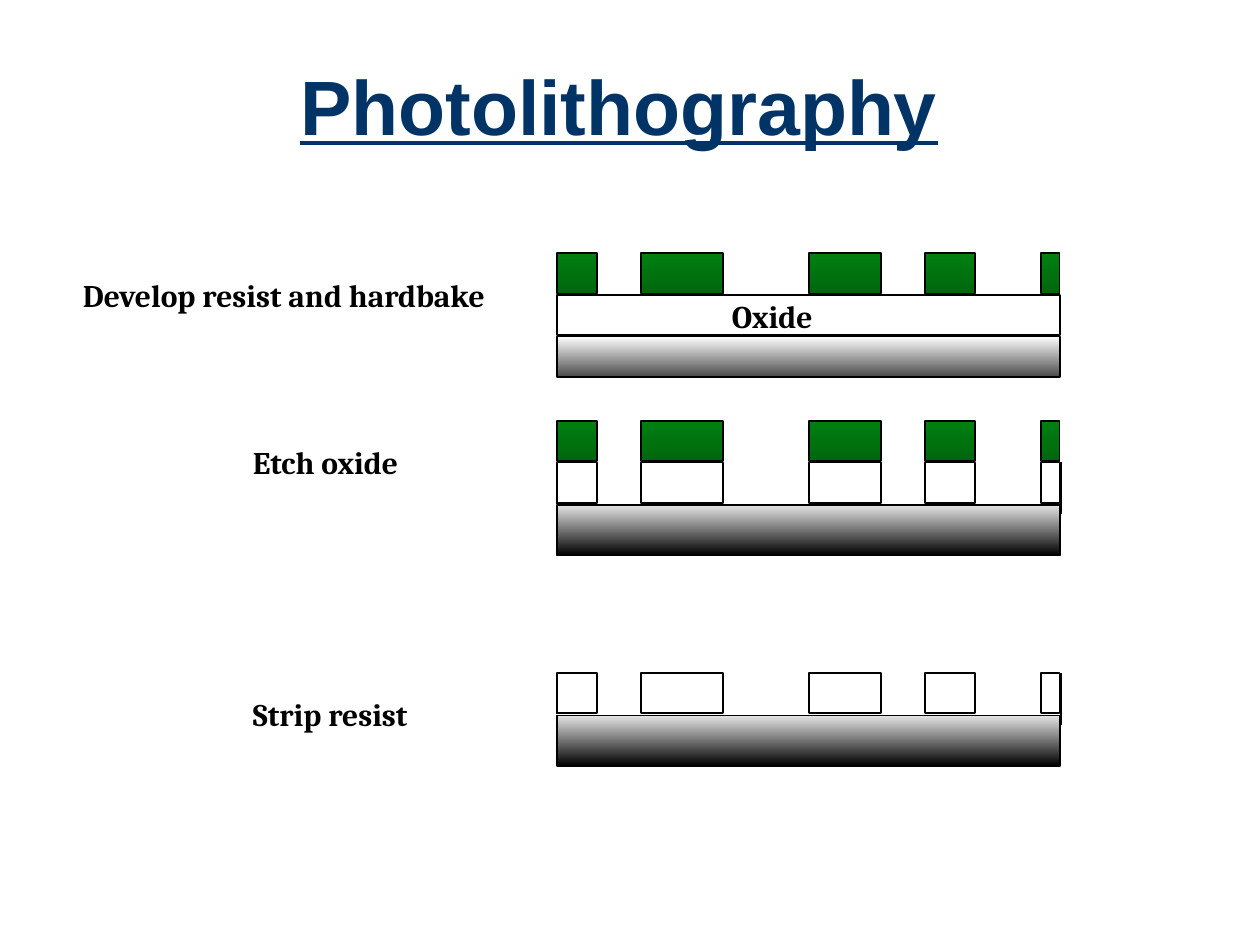
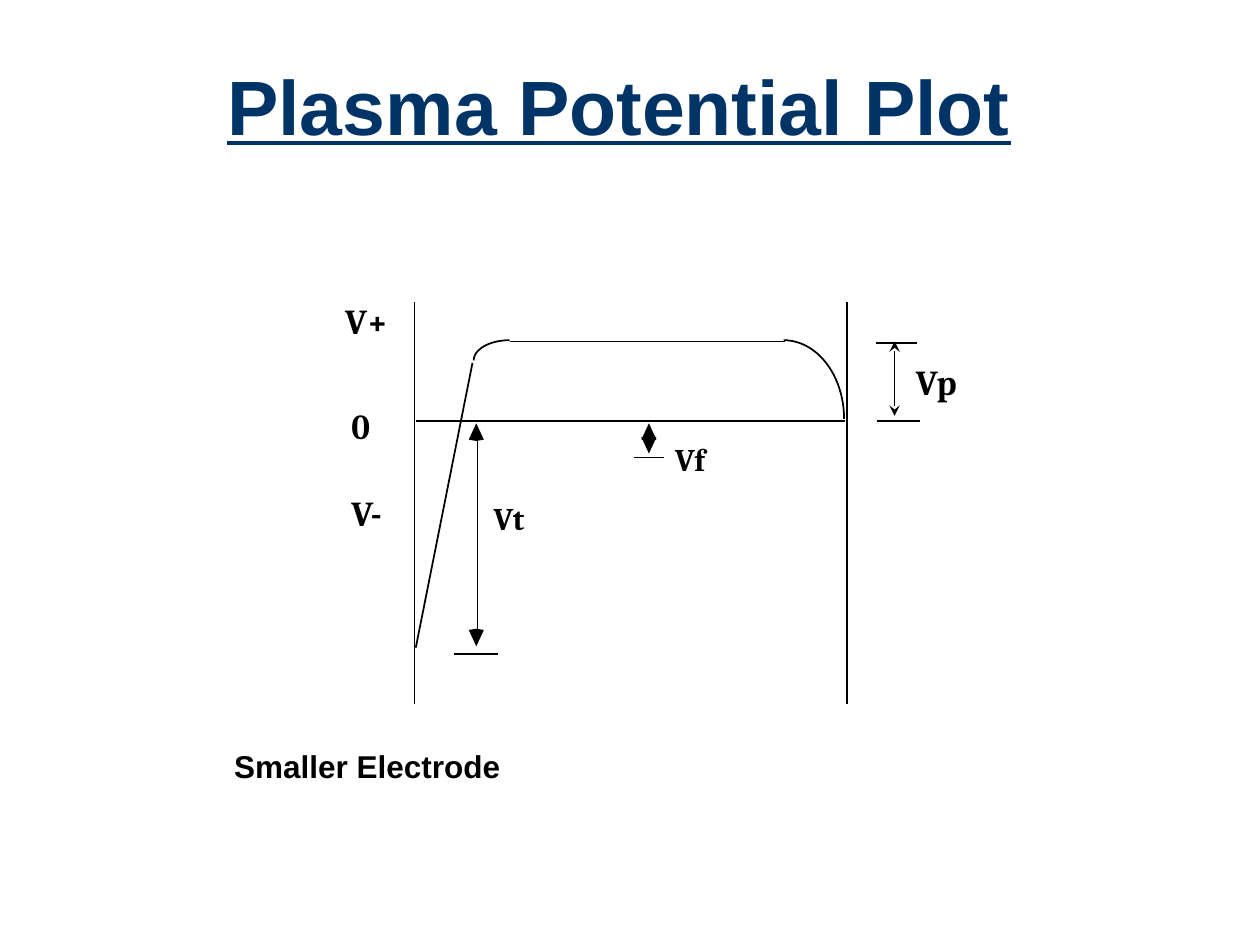
import pptx
import pptx.dml.color
import pptx.enum.shapes
import pptx.enum.text
import pptx.oxml
import pptx.oxml.ns
import pptx.util
from pptx.util import Inches

RGBColor = pptx.dml.color.RGBColor
SHAPE = pptx.enum.shapes.MSO_SHAPE
ALIGN = pptx.enum.text.PP_ALIGN
ANCHOR = pptx.enum.text.MSO_ANCHOR

BLACK = RGBColor(0x00, 0x00, 0x00)
WHITE = RGBColor(0xFF, 0xFF, 0xFF)
NAVY = RGBColor(0x00, 0x33, 0x66)
RESIST = (RGBColor(0x00, 0x80, 0x11), RGBColor(0x00, 0x66, 0x0D))
SUBSTRATE = (RGBColor(0xE4, 0xE4, 0xE4), BLACK)
PALE_SUBSTRATE = (WHITE, RGBColor(0x4B, 0x4B, 0x4B))

TITLE_FONT = {"name": "Arial", "size": pptx.util.Pt(44), "bold": True, "underline": True}
LABEL_FONT = {"name": "Cambria", "size": pptx.util.Pt(18), "bold": True}
AXIS_FONT = {**LABEL_FONT, "size": pptx.util.Pt(20)}
CAPTION_FONT = {**LABEL_FONT, "name": "Arial"}

WAFER_LEFT, WAFER_WIDTH = 4.42, 3.99
LAYER_HEIGHT, LAYER_STEP = 0.32, 0.33
MASK_COLUMNS = [(4.42, 0.32), (5.09, 0.65), (6.42, 0.57), (7.34, 0.4), (8.26, 0.15)]


class Deck:
    """Holds the presentation, its shared style and the current slide."""

    def __init__(self):
        self.presentation = pptx.Presentation()
        self.presentation.slide_width = Inches(10)
        self.presentation.slide_height = Inches(7.5)
        self.slide = None

    def add_slide(self, title):
        self.slide = self.presentation.slides.add_slide(self.presentation.slide_layouts[6])
        self.text(title, 0.25, 0.25, 9.33, 1.25, TITLE_FONT, NAVY, ALIGN.CENTER,
                  ANCHOR.MIDDLE, wrap=True, line_spacing=0.9)

    def text(self, words, left, top, width, height, font_format, color=BLACK,
             align=ALIGN.LEFT, anchor=ANCHOR.TOP, wrap=False, line_spacing=None):
        box = self.slide.shapes.add_textbox(*map(Inches, (left, top, width, height)))
        frame = box.text_frame
        frame.word_wrap = wrap
        frame.vertical_anchor = anchor
        paragraph = frame.paragraphs[0]
        paragraph.alignment = align
        paragraph.line_spacing = line_spacing
        run = paragraph.add_run()
        run.text = words
        for attribute, value in font_format.items():
            setattr(run.font, attribute, value)
        run.font.color.rgb = color

    def outline(self, shape):
        shape.shadow.inherit = False
        shape.line.color.rgb = BLACK
        shape.line.width = pptx.util.Pt(1)

    def layer(self, left, top, width, height, fill):
        """Draw a rectangle; fill is one colour or a (top, bottom) gradient pair."""
        block = self.slide.shapes.add_shape(
            SHAPE.RECTANGLE, *map(Inches, (left, top, width, height)))
        self.outline(block)
        if isinstance(fill, RGBColor):
            block.fill.solid()
            block.fill.fore_color.rgb = fill
        else:
            block.fill.gradient()
            block.fill.gradient_angle = 270
            for stop, color in zip(block.fill.gradient_stops, fill):
                stop.color.rgb = color

    def masked_layer(self, top, fill):
        for left, width in MASK_COLUMNS:
            self.layer(left, top, width, LAYER_HEIGHT, fill)

    def line(self, x1, y1, x2, y2, arrowheads=None):
        connector = self.slide.shapes.add_connector(
            pptx.enum.shapes.MSO_CONNECTOR.STRAIGHT, *map(Inches, (x1, y1, x2, y2)))
        connector.line.color.rgb = BLACK
        connector.line.width = pptx.util.Pt(1)
        properties = connector._element.spPr
        if arrowheads:
            stroke = properties.find(pptx.oxml.ns.qn("a:ln"))
            for end in ("headEnd", "tailEnd"):
                stroke.append(pptx.oxml.parse_xml(
                    f'<a:{end} {pptx.oxml.ns.nsdecls("a")} type="{arrowheads}"/>'))
        properties.append(pptx.oxml.parse_xml(
            f'<a:effectLst {pptx.oxml.ns.nsdecls("a")}/>'))

    def arc(self, left, top, width, height, start, end):
        """Draw part of an ellipse, angles in degrees clockwise from the right."""
        curve = self.slide.shapes.add_shape(
            SHAPE.ARC, *map(Inches, (left, top, width, height)))
        self.outline(curve)
        curve.fill.background()
        for index, degrees in enumerate((start, end)):
            curve.adjustments[index] = degrees * 0.6

    def arrow_tip(self, x, y, direction):
        """Draw a filled tip at (x, y); direction is -1 for up and 1 for down."""
        base = y - direction * 0.13
        corners = [(x - 0.06, base), (x, base - direction * 0.01), (x + 0.06, base)]
        builder = self.slide.shapes.build_freeform(Inches(x), Inches(y))
        builder.add_line_segments([tuple(map(Inches, corner)) for corner in corners])
        tip = builder.convert_to_shape()
        tip.shadow.inherit = False
        tip.fill.solid()
        tip.fill.fore_color.rgb = BLACK
        tip.line.fill.background()


def build_photolithography(deck):
    deck.add_slide("Photolithography")

    develop_top = 2.01
    deck.masked_layer(develop_top, RESIST)
    deck.layer(WAFER_LEFT, develop_top + LAYER_STEP, WAFER_WIDTH, LAYER_HEIGHT, WHITE)
    deck.layer(WAFER_LEFT, develop_top + 2 * LAYER_STEP, WAFER_WIDTH, LAYER_HEIGHT,
               PALE_SUBSTRATE)

    etch_top, strip_top = 3.67, 5.34
    deck.masked_layer(etch_top - LAYER_STEP, RESIST)
    for oxide_top in (etch_top, strip_top):
        deck.line(WAFER_LEFT, oxide_top, WAFER_LEFT, oxide_top + 0.33)
        deck.line(8.42, oxide_top, 8.42, oxide_top + 0.41)
        deck.masked_layer(oxide_top, WHITE)
        deck.layer(WAFER_LEFT, oxide_top + LAYER_STEP + 0.01, WAFER_WIDTH, 0.4, SUBSTRATE)

    for words, left, top, width in [
        ("Oxide", 5.71, 2.31, 0.95),
        ("Develop resist and hardbake", 0.56, 2.14, 3.84),
        ("Etch oxide", 1.91, 3.47, 1.54),
        ("Strip resist", 1.91, 5.47, 1.6),
    ]:
        deck.text(words, left, top, width, 0.4, LABEL_FONT)


def build_plasma_plot(deck):
    deck.add_slide("Plasma Potential Plot")

    zero_level = 3.34
    for electrode in (3.29, 6.72):
        deck.line(electrode, 2.4, electrode, 5.59)
    deck.line(3.3, zero_level, 6.71, zero_level)

    # Potential curve, from the smaller electrode to the larger one
    deck.line(3.75, 2.88, 3.3, 5.14)
    deck.arc(3.76, 2.7, 0.57, 0.32, 180, 270)
    deck.line(4.05, 2.71, 6.23, 2.71)
    deck.arc(5.74, 2.7, 0.96, 1.25, 270, 0)

    # Reference levels of Vt, Vf and Vp
    for left, level, right in [
        (3.6, 5.19, 3.95),
        (5.03, 3.63, 5.27),
        (6.95, 2.72, 7.28),
        (6.96, zero_level, 7.3),
    ]:
        deck.line(left, level, right, level)

    deck.line(3.79, 3.44, 3.79, 5.06)
    deck.line(5.15, 3.44, 5.16, 3.53)
    deck.line(7.1, 2.71, 7.1, 3.3, arrowheads="stealth")
    for x, bottom in [(3.78, 5.13), (5.15, 3.6)]:
        deck.arrow_tip(x, 3.36, -1)
        deck.arrow_tip(x, bottom, 1)

    for words, left, top, width in [
        ("V+", 2.64, 2.33, 0.55),
        ("0", 2.69, 3.16, 0.36),
        ("V-", 2.69, 3.85, 0.48),
        ("Vp", 7.17, 2.81, 0.58),
    ]:
        deck.text(words, left, top, width, 0.43, AXIS_FONT)
    for words, left, top in [("Vt", 3.82, 3.91), ("Vf", 5.26, 3.44)]:
        deck.text(words, left, top, 0.48, 0.4, LABEL_FONT)
    deck.text("Smaller Electrode", 1.76, 5.88, 2.31, 0.4, CAPTION_FONT,
              align=ALIGN.CENTER, anchor=ANCHOR.MIDDLE)


def main():
    deck = Deck()
    build_photolithography(deck)
    build_plasma_plot(deck)
    deck.presentation.save("out.pptx")


if __name__ == "__main__":
    main()
